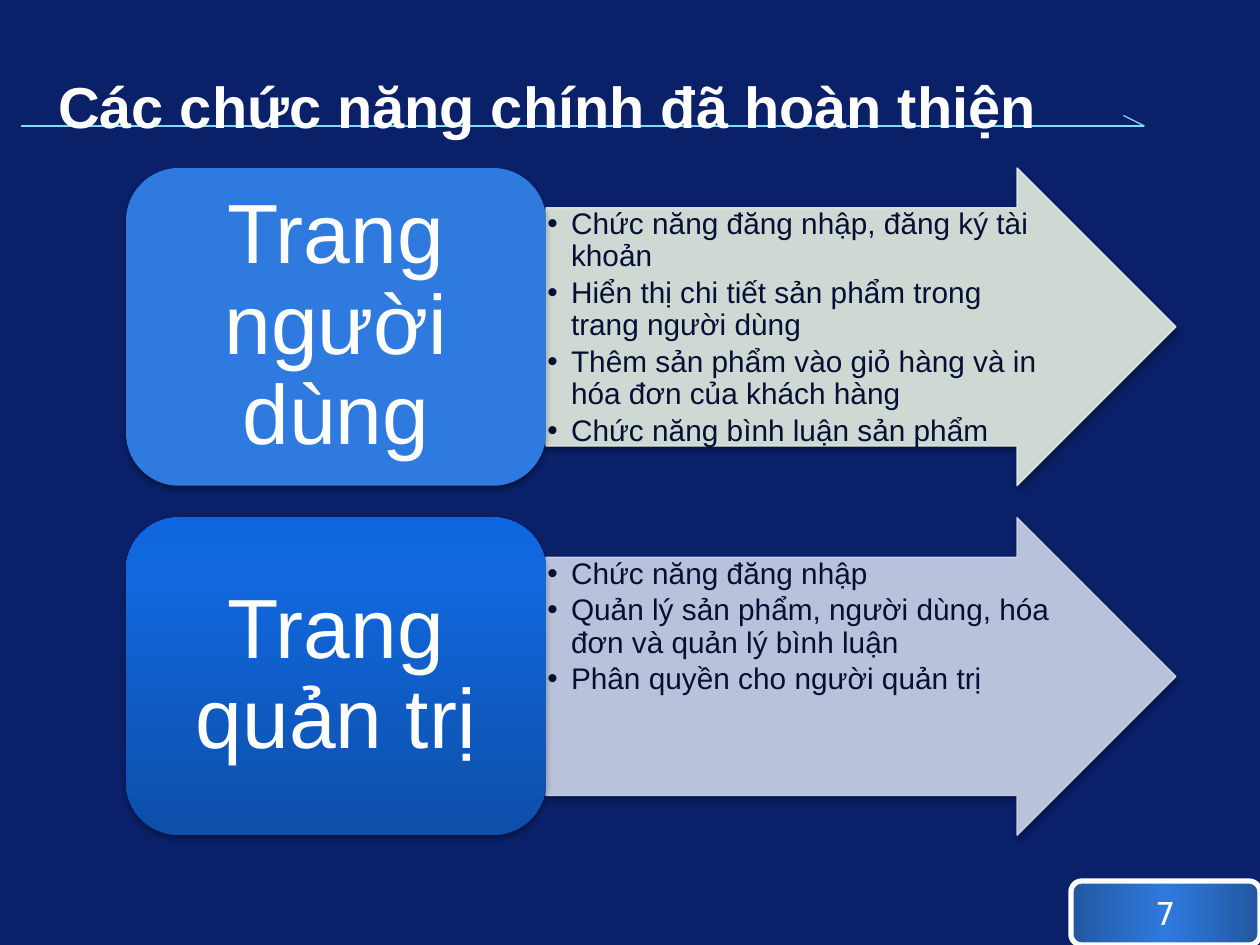
"""Build the slide that lists the finished functions of the user and admin pages."""
from dataclasses import dataclass

from lxml import etree
from pptx import Presentation
from pptx.dml.color import RGBColor
from pptx.enum.shapes import MSO_CONNECTOR, MSO_SHAPE
from pptx.enum.text import MSO_ANCHOR, MSO_AUTO_SIZE, PP_ALIGN
from pptx.oxml.ns import qn
from pptx.util import Pt

STRAIGHT = MSO_CONNECTOR.STRAIGHT
ARROW, ROUNDED = MSO_SHAPE.RIGHT_ARROW, MSO_SHAPE.ROUNDED_RECTANGLE
LEFT, CENTER = PP_ALIGN.LEFT, PP_ALIGN.CENTER
TOP, MIDDLE = MSO_ANCHOR.TOP, MSO_ANCHOR.MIDDLE
NO_FIT = MSO_AUTO_SIZE.NONE


@dataclass(frozen=True)
class Theme:
    """Colours, fonts and type sizes of the slide."""
    background: str = "0A2068"
    white: str = "FFFFFF"
    ink: str = "051034"
    rule: str = "85D9F7"
    shadow: str = "000000"
    font: str = "Arial"
    number_font: str = "DejaVu Sans"
    title_size: int = 33
    label_size: int = 48
    list_size: int = 17
    number_size: int = 18


THEME = Theme()
TITLE = "Các chức năng chính đã hoàn thiện"
PAGE_NUMBER = "7"
BADGE_STOPS = [(0, "2257A0"), (50, "2F7ADF"), (100, "2257A0")]
SECTIONS = [
    {
        "label": "Trang người dùng",
        "stops": [(0, "2F7ADF"), (100, "2F7ADF")],
        "arrow": "E5EFE4",
        "items": [
            "Chức năng đăng nhập, đăng ký tài khoản",
            "Hiển thị chi tiết sản phẩm trong trang người dùng",
            "Thêm sản phẩm vào giỏ hàng và in hóa đơn của khách hàng",
            "Chức năng bình luận sản phẩm",
        ],
    },
    {
        "label": "Trang quản trị",
        "stops": [(0, "0D4FA9"), (80, "1167DB"), (100, "0E67E0")],
        "arrow": "CDD5EC",
        "items": [
            "Chức năng đăng nhập",
            "Quản lý sản phẩm, người dùng, hóa đơn và quản lý bình luận",
            "Phân quyền cho người quản trị",
        ],
    },
]
RULE_LINES = [(12, 72, 654, 72), (642, 66, 654, 72)]
ROW_TOP, ROW_HEIGHT, ROW_PITCH = 96, 181.6, 199.75
LABEL_LEFT, LABEL_WIDTH, ARROW_WIDTH = 72, 240, 360
HEAD_RATIO, SHAFT_RATIO = 0.5, 0.75


def color(value):
    return RGBColor.from_string(value)


def place(shape, left, top, width, height):
    shape.left, shape.top = Pt(left), Pt(top)
    shape.width, shape.height = Pt(width), Pt(height)


def write(shape, lines, size, ink, align=LEFT, anchor=MIDDLE, font=THEME.font,
          bold=False, spacing=1.0, after=0, margins=(7.2, 3.6)):
    frame = shape.text_frame
    frame.text = "\n".join(lines)
    frame.word_wrap, frame.auto_size = True, NO_FIT
    frame.vertical_anchor = anchor
    frame.margin_left = frame.margin_right = Pt(margins[0])
    frame.margin_top = frame.margin_bottom = Pt(margins[1])
    for para in frame.paragraphs:
        para.alignment, para.line_spacing = align, spacing
        para.space_before, para.space_after = Pt(0), Pt(after)
        for span in para.runs:
            span.font.name, span.font.size = font, Pt(size)
            span.font.bold, span.font.color.rgb = bold, color(ink)


def add_stop_color(parent, value, alpha):
    node = etree.SubElement(parent, qn("a:srgbClr"), val=value)
    etree.SubElement(node, qn("a:alpha"), val=str(alpha * 1000))


def cast_shadow(shape):
    shape.shadow.inherit = False
    effects = shape.element.spPr.find(qn("a:effectLst"))
    outer = etree.SubElement(effects, qn("a:outerShdw"), blurRad=str(Pt(3.1)),
                             dist=str(Pt(1.8)), dir="5400000", rotWithShape="0")
    add_stop_color(outer, THEME.shadow, 35)


def fill_gradient(shape, stops, angle):
    shape.fill.gradient()
    shape.fill.gradient_angle = angle
    stop_list = shape.element.spPr.find(".//" + qn("a:gsLst"))
    for stop in list(stop_list):
        stop_list.remove(stop)
    for position, value in stops:
        stop = etree.SubElement(stop_list, qn("a:gs"), pos=str(position * 1000))
        add_stop_color(stop, value, 100)


def add_box(page, kind, left, top, width, height):
    box = page.shapes.add_shape(kind, Pt(left), Pt(top), Pt(width), Pt(height))
    box.shadow.inherit = False
    return box


def add_rule(page):
    for x1, y1, x2, y2 in RULE_LINES:
        line = page.shapes.add_connector(STRAIGHT, Pt(x1), Pt(y1), Pt(x2), Pt(y2))
        line.line.color.rgb, line.line.width = color(THEME.rule), Pt(0.75)
        etree.SubElement(line.element.spPr, qn("a:effectLst"))


def add_section(page, body, section, top):
    middle = LABEL_LEFT + LABEL_WIDTH
    arrow = add_box(page, ARROW, middle, top, ARROW_WIDTH, ROW_HEIGHT)
    arrow.adjustments[0], arrow.adjustments[1] = SHAFT_RATIO, HEAD_RATIO
    arrow.fill.solid()
    arrow.fill.fore_color.rgb = color(section["arrow"])
    arrow.line.color.rgb, arrow.line.width = color(section["arrow"]), Pt(0.75)
    for tint in arrow.element.spPr.iter(qn("a:srgbClr")):
        etree.SubElement(tint, qn("a:alpha"), val="90000")
    cast_shadow(arrow)

    list_height = ROW_HEIGHT * SHAFT_RATIO
    list_width = ARROW_WIDTH - ROW_HEIGHT * HEAD_RATIO * SHAFT_RATIO
    place(body, middle, top + (ROW_HEIGHT - list_height) / 2, list_width, list_height)
    write(body, section["items"], THEME.list_size, THEME.ink, anchor=TOP,
          spacing=0.9, after=2.55, margins=(0.8, 0.8))
    for para in body.text_frame.paragraphs:
        properties = para._p.get_or_add_pPr()
        properties.set("marL", str(Pt(13.5)))
        properties.set("indent", str(Pt(-13.5)))
    arrow.element.addnext(body.element)

    label = add_box(page, ROUNDED, LABEL_LEFT, top, LABEL_WIDTH, ROW_HEIGHT)
    fill_gradient(label, section["stops"], 90)
    label.line.fill.background()
    cast_shadow(label)
    write(label, [section["label"]], THEME.label_size, THEME.white, CENTER,
          spacing=0.9, margins=(14.4, 7.2))


def main():
    deck = Presentation()
    deck.slide_width, deck.slide_height = Pt(720), Pt(540)
    page = deck.slides.add_slide(deck.slide_layouts.get_by_name("Two Content"))
    page.background.fill.solid()
    page.background.fill.fore_color.rgb = color(THEME.background)
    title, *bodies = page.placeholders

    add_rule(page)
    place(title, 26, 42, 642, 36)
    write(title, [TITLE], THEME.title_size, THEME.white, bold=True)
    page.shapes[-1].element.addnext(title.element)

    for row, (body, section) in enumerate(zip(bodies, SECTIONS)):
        add_section(page, body, section, ROW_TOP + row * ROW_PITCH)

    badge = add_box(page, ROUNDED, 612, 503.5, 108, 36.5)
    fill_gradient(badge, BADGE_STOPS, 0)
    badge.line.color.rgb, badge.line.width = color(THEME.white), Pt(3)
    write(badge, [PAGE_NUMBER], THEME.number_size, THEME.white, CENTER,
          font=THEME.number_font)
    deck.save("out.pptx")


if __name__ == "__main__":
    main()
